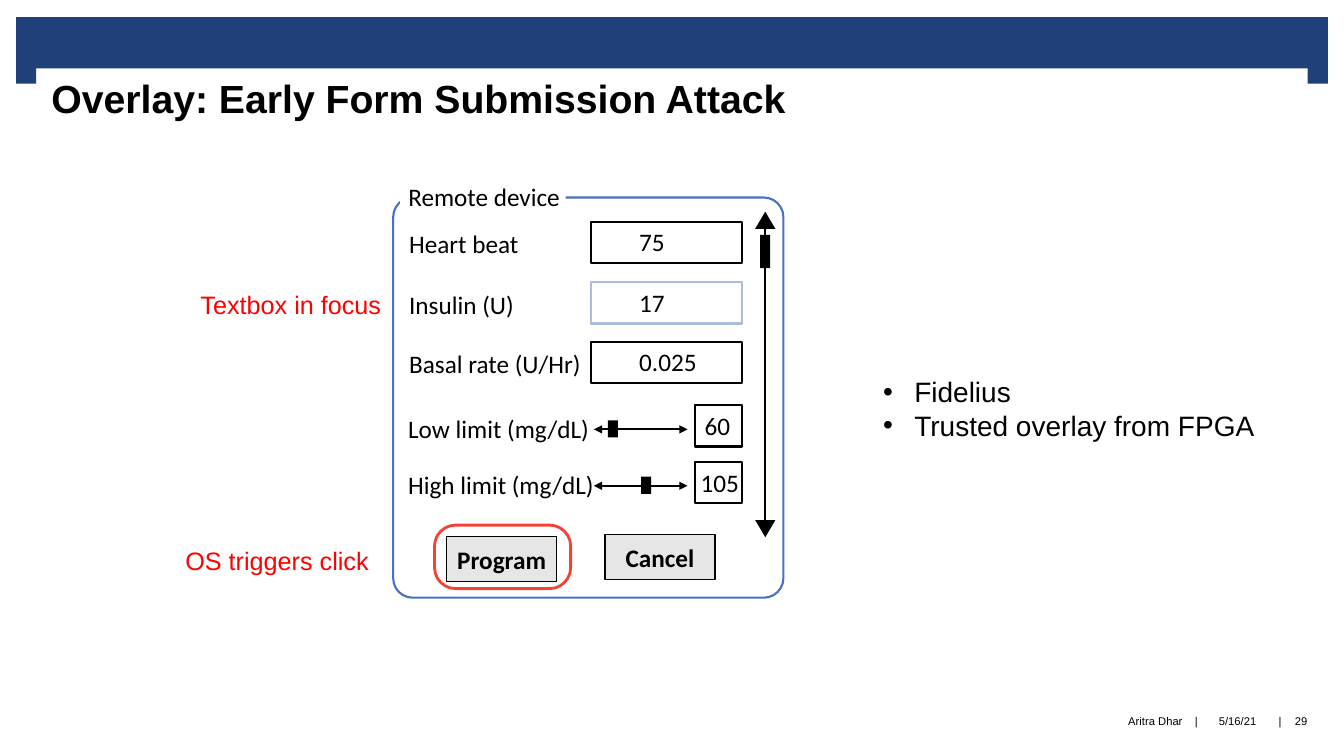
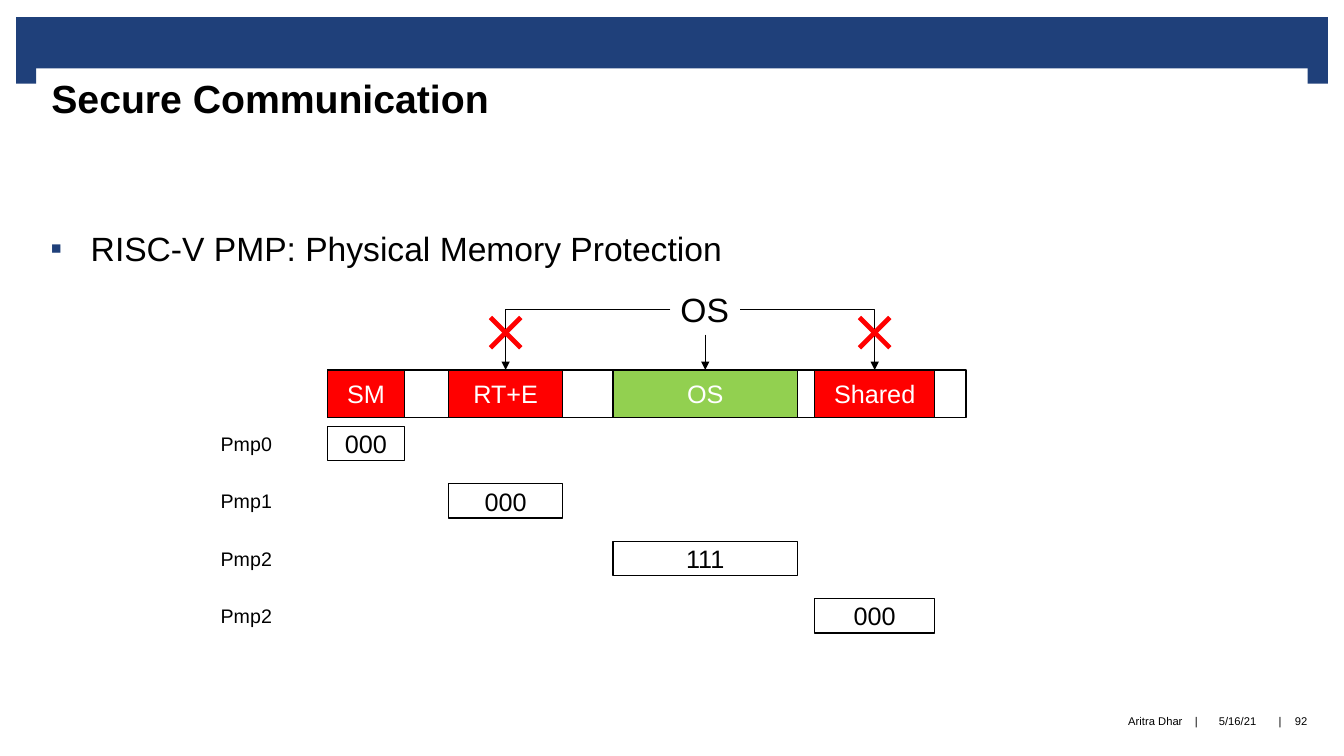
from pptx import Presentation
from pptx.dml.color import RGBColor
from pptx.enum.shapes import MSO_CONNECTOR, MSO_SHAPE
from pptx.enum.text import MSO_ANCHOR, MSO_AUTO_SIZE, PP_ALIGN
from pptx.oxml.ns import qn
from pptx.util import Inches, Pt
from lxml.etree import SubElement

NAVY, RED, GREEN = "1F407A", "FF0000", "92D050"
BLACK, WHITE, GREY = "000000", "FFFFFF", "E7E6E6"
BLUE, PALE, CORAL = "4472C4", "ADBDD9", "F44336"
LEFT, MID, RIGHT = PP_ALIGN.LEFT, PP_ALIGN.CENTER, PP_ALIGN.RIGHT
RECT, ROUND = MSO_SHAPE.RECTANGLE, MSO_SHAPE.ROUNDED_RECTANGLE

BANDS = [(0.16, 0.17, 13.01, 0.51), (0.16, 0.65, 0.2, 0.18), (12.97, 0.65, 0.2, 0.18)]
AUTHOR, DATE = "Aritra Dhar", "5/16/21"

FIELDS = [
    ("Heart beat", 1.3, 2.2, "75", BLACK),
    ("Insulin (U)", 1.25, 2.8, "17", PALE),
    ("Basal rate (U/Hr)", 1.93, 3.39, "0.025", BLACK),
]
LIMITS = [
    ("Low limit (mg/dL)", 2.01, 4.02, "60", 0.1, 6.03),
    ("High limit (mg/dL)", 2.06, 4.58, "105", 0.06, 6.36),
]
BUTTONS = [("Program", 4.43, 5.32), ("Cancel", 6, 5.3)]
NOTES = [("Textbox in focus", 1.89, 2.82, 2.3), ("OS triggers click", 1.74, 5.36, 2.21)]
POINTS = ["Fidelius", "Trusted overlay from FPGA"]

REGIONS = [
    ("SM", 3.25, 0.76, RED, "Pmp0", "000"),
    ("RT+E", 4.45, 1.13, RED, "Pmp1", "000"),
    ("OS", 6.08, 1.83, GREEN, "Pmp2", "111"),
    ("Shared", 8.08, 1.19, RED, "Pmp2", "000"),
]
TOPIC = "RISC-V PMP: Physical Memory Protection"


def color(code):
    return RGBColor.from_string(code)


def write(part, text, size=18, code=BLACK, font="Arial", bold=False):
    run = part.add_run()
    run.text = text
    run.font.size, run.font.name, run.font.bold = Pt(size), font, bold
    run.font.color.rgb = color(code)


def frame(shape, pads=(0.1, 0.05, 0.1, 0.05), anchor=MSO_ANCHOR.MIDDLE, wrap=True):
    body = shape.text_frame
    body.auto_size = MSO_AUTO_SIZE.NONE
    body.word_wrap, body.vertical_anchor = wrap, anchor
    body.margin_left, body.margin_top, body.margin_right, body.margin_bottom = map(Inches, pads)
    return body


def label(shape, text, align=LEFT, pads=(0.1, 0.05, 0.1, 0.05), wrap=True, **style):
    part = frame(shape, pads, wrap=wrap).paragraphs[0]
    part.alignment = align
    write(part, text, **style)
    return shape


def place(slide, box):
    return slide.shapes.add_textbox(*map(Inches, box))


def draw(slide, box, fill=None, edge=None, weight=1, kind=RECT, adj=None):
    shape = slide.shapes.add_shape(kind, *map(Inches, box))
    shape.shadow.inherit = False
    if fill:
        shape.fill.solid()
        shape.fill.fore_color.rgb = color(fill)
    else:
        shape.fill.background()
    if edge:
        shape.line.color.rgb = color(edge)
        shape.line.width = Pt(weight)
    else:
        shape.line.fill.background()
    if adj is not None:
        shape.adjustments[0] = adj
    return shape


def link(slide, start=(0, 0), end=(0, 0), weight=1, tips=("tailEnd",), bent=False):
    kind = MSO_CONNECTOR.ELBOW if bent else MSO_CONNECTOR.STRAIGHT
    line = slide.shapes.add_connector(kind, *map(Inches, (*start, *end)))
    line.line.color.rgb = color(BLACK)
    line.line.width = Pt(weight)
    props = line._element.spPr
    for tip in tips:
        SubElement(props.find(qn("a:ln")), qn("a:" + tip), type="triangle")
    SubElement(props, qn("a:effectLst"))
    if bent:
        props.find(qn("a:prstGeom")).set("prst", "bentConnector2")
    return line


def join(slide, first, site, last, bent=False):
    line = link(slide, bent=bent)
    line.begin_connect(first, site)
    line.end_connect(last, 0)


def bullets(slide, box, lines, size, mark, indent, tint=BLACK, pads=(0.1, 0.05, 0.1, 0.05)):
    body = frame(place(slide, box), pads, MSO_ANCHOR.TOP)
    for i, text in enumerate(lines):
        part = body.add_paragraph() if i else body.paragraphs[0]
        props = part._p.get_or_add_pPr()
        props.set("marL", str(Inches(indent)))
        props.set("indent", str(-Inches(indent)))
        SubElement(SubElement(props, qn("a:buClr")), qn("a:srgbClr"), val=tint)
        SubElement(props, qn("a:buFont"), typeface="Arial")
        SubElement(props, qn("a:buChar"), char=mark)
        write(part, text, size)


def start(deck, title, number):
    slide = deck.slides.add_slide(deck.slide_layouts[5])
    for band in BANDS:
        draw(slide, band, NAVY)
    head = slide.shapes.title
    head.left, head.top, head.width, head.height = map(Inches, (0.35, 0.68, 12.62, 1.06))
    part = frame(head, (0.16, 0.06, 0.16, 0), MSO_ANCHOR.TOP).paragraphs[0]
    part.alignment = LEFT
    write(part, title, 28, bold=True)
    footer = [
        (AUTHOR, 6.66, 5.07, RIGHT), ("|", 11.79, 0.15, MID), (DATE, 11.94, 0.67, MID),
        ("|", 12.62, 0.15, MID), (number, 12.71, 0.39, MID),
    ]
    for text, left, width, align in footer:
        label(place(slide, (left, 6.9, width, 0.5)), text, align, (0, 0, 0, 0), size=8)
    return slide


def form(deck):
    slide = start(deck, "Overlay: Early Form Submission Attack", "29")
    draw(slide, (3.9, 1.96, 3.87, 3.97), WHITE, BLUE, 1.5, ROUND, 0.05)
    label(draw(slide, (3.97, 1.85, 1.64, 0.2), WHITE), "Remote device",
          pads=(0.08, 0, 0, 0), wrap=False, font="Calibri")

    for name, width, top, value, edge in FIELDS:
        label(place(slide, (3.96, top + 0.02, width, 0.4)), name, wrap=False, font="Calibri")
        label(draw(slide, (5.86, top, 1.5, 0.41), WHITE, edge, 1.5), value,
              pads=(0.48, 0.03, 0, 0.05), font="Calibri")

    for name, width, top, value, pad, knob in LIMITS:
        label(place(slide, (3.95, top + 0.03, width, 0.4)), name, wrap=False, font="Calibri")
        axis = top + 0.24
        link(slide, (5.89, axis), (6.82, axis), 1.5, ("headEnd", "tailEnd"))
        draw(slide, (knob, axis - 0.09, 0.1, 0.17), BLACK)
        label(draw(slide, (6.89, top, 0.47, 0.41), WHITE, BLACK, 1.5), value,
              pads=(pad, 0.05, 0, 0.05), font="Calibri")

    for top, turn in [(2.1, 0), (5.16, 180)]:
        draw(slide, (7.49, top, 0.2, 0.17), BLACK, kind=MSO_SHAPE.ISOSCELES_TRIANGLE).rotation = turn
    link(slide, (7.59, 2.27), (7.59, 5.16), 1.5, ())
    draw(slide, (7.54, 2.33, 0.1, 0.33), BLACK)

    for name, left, top in BUTTONS:
        label(draw(slide, (left, top, 1.09, 0.45), GREY, BLACK), name, MID,
              pads=(0, 0.05, 0, 0.05), font="Calibri", bold=True)
    draw(slide, (4.31, 5.21, 1.35, 0.63), None, CORAL, 2, ROUND, 0.33)

    for text, left, top, width in NOTES:
        label(place(slide, (left, top, width, 0.4)), text, code=RED)
    bullets(slide, (8.66, 3.67, 4.26, 1.11), POINTS, 20, "•", 0.31)


def memory(deck):
    slide = start(deck, "Secure Communication", "92")
    bullets(slide, (0.35, 2.26, 12.62, 0.5), [TOPIC], 24, "▪", 0.4, NAVY, (0.15, 0, 0.16, 0))
    draw(slide, (3.25, 3.67, 6.33, 0.47), WHITE, BLACK)

    cells = []
    for i, (name, left, width, fill, entry, bits) in enumerate(REGIONS):
        top = 4.23 + 0.57 * i
        cell = draw(slide, (left, 3.67, width, 0.47), fill, BLACK)
        cells.append(label(cell, name, MID, code=WHITE))
        label(place(slide, (2.09, top, 0.71, 0.34)), entry, wrap=False, size=14)
        label(draw(slide, (left, top, width, 0.34), WHITE, BLACK), bits, MID)

    system = label(place(slide, (6.65, 2.82, 0.69, 0.5)), "OS", wrap=False, size=24)
    join(slide, system, 2, cells[2])
    for site, at in [(1, 1), (3, 3)]:
        join(slide, system, site, cells[at], True)
        left, width = REGIONS[at][1:3]
        draw(slide, (left + width / 2 - 0.29, 3.01, 0.58, 0.58), RED,
             kind=MSO_SHAPE.MATH_MULTIPLY, adj=0.08)


def main():
    deck = Presentation()
    deck.slide_width, deck.slide_height = Inches(13.33), Inches(7.5)
    form(deck)
    memory(deck)
    deck.save("out.pptx")


if __name__ == "__main__":
    main()
